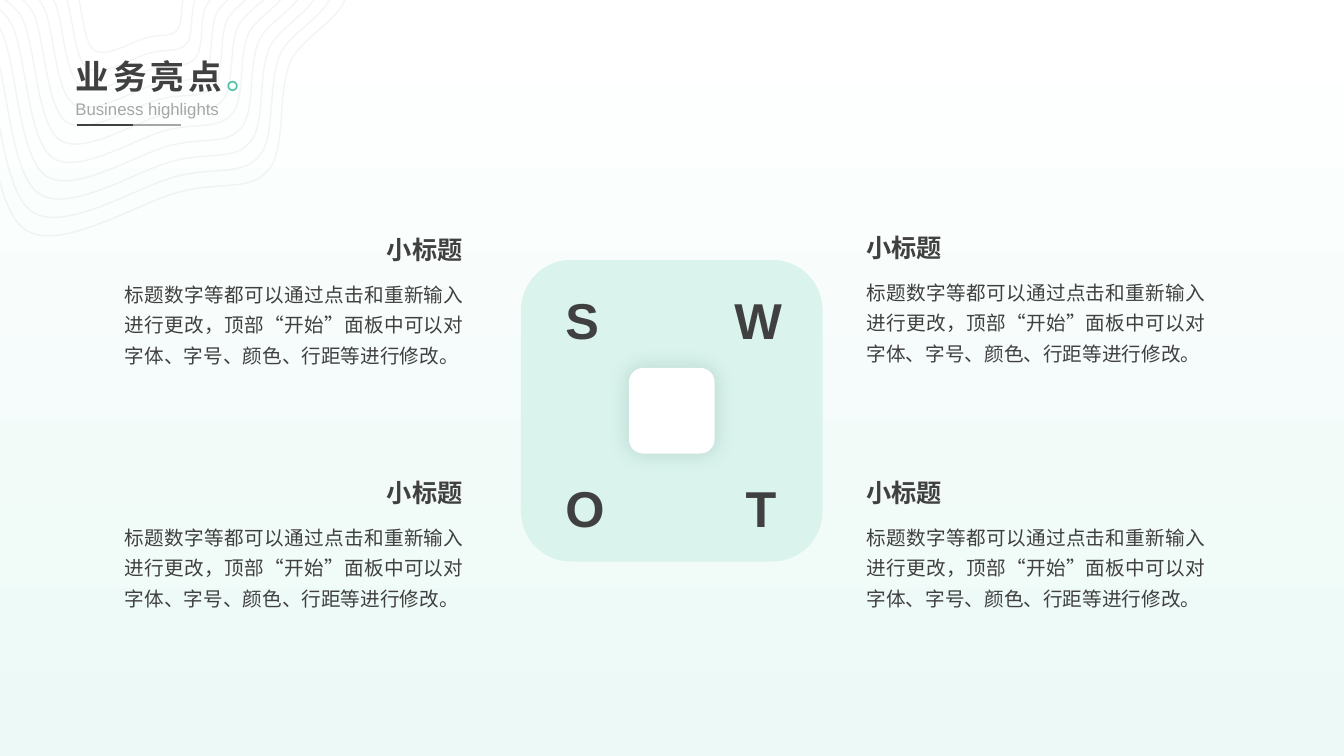
import dataclasses

import pptx
import pptx.dml.color
import pptx.enum.shapes
import pptx.enum.text
import pptx.oxml
import pptx.oxml.ns
import pptx.util
from pptx.util import Cm

HEADING = "小标题"
BODY = ("标题数字等都可以通过点击和重新输入进行更改，顶部“开始”面板中可以对"
        "字体、字号、颜色、行距等进行修改。")

# Outermost contour in cm: a start point, then three points per Bezier curve
CONTOUR = [
    (4.55, 4.83),
    (3.53, 5.08), (1.52, 6.38), (0.64, 5.79),
    (-0.23, 5.21), (-0.28, 2.31), (-0.74, 1.3),
    (-1.22, 0.28), (-2.08, 0.51), (-2.16, -0.36),
    (-2.26, -1.22), (-2.13, -3.05), (-1.27, -3.89),
    (-0.43, -4.75), (1.3, -5.99), (2.92, -5.49),
    (4.57, -4.98), (7.87, -2.08), (8.59, -0.89),
    (9.32, 0.3), (7.59, 0.76), (7.29, 1.63),
    (6.99, 2.49), (7.21, 3.78), (6.76, 4.29),
    (6.3, 4.83), (5.56, 4.57), (4.55, 4.83),
]
CONTOUR_CENTRE = (3.28, -1.06)
RINGS = 11
INNER_SCALE = 0.34


@dataclasses.dataclass(frozen=True)
class Theme:
    latin: str = "Arial"
    cjk: str = "Noto Sans CJK SC"
    ink: str = "404040"
    grey: str = "A6A6A6"
    accent: str = "44C1A3"
    contour: str = "1E5E70"
    panel: str = "DAF3ED"
    white: str = "FFFFFF"
    shadow: str = "206252"
    page_end: str = "ECF9F6"
    title: int = 24
    subtitle: int = 12
    letter: int = 36
    heading: int = 18
    body: int = 14


def rgb(value):
    return pptx.dml.color.RGBColor.from_string(value)


def xml(source):
    """Parse one DrawingML element whose tag uses the prefix a."""
    head, gap, tail = source.partition(" ")
    return pptx.oxml.parse_xml(f"{head} {pptx.oxml.ns.nsdecls('a')}{gap}{tail}")


def bend(sp):
    """Turn every three line segments of a freeform into one Bezier curve."""
    segments = list(sp._element.iter(pptx.oxml.ns.qn("a:lnTo")))
    for i in range(0, len(segments), 3):
        curve = xml("<a:cubicBezTo />")
        segments[i].addprevious(curve)
        for segment in segments[i:i + 3]:
            curve.append(segment[0])
            segment.getparent().remove(segment)


class SlideBuilder:
    def __init__(self, slide, theme):
        self.slide = slide
        self.theme = theme

    def background(self):
        fill = self.slide.background.fill
        fill.gradient()
        fill.gradient_angle = 270
        for stop, color in zip(fill.gradient_stops,
                               (self.theme.white, self.theme.page_end)):
            stop.color.rgb = rgb(color)

    def ring(self, points, alpha):
        (x, y), *rest = [(Cm(px), Cm(py)) for px, py in points]
        builder = self.slide.shapes.build_freeform(x, y)
        builder.add_line_segments(rest, close=True)
        sp = builder.convert_to_shape()
        bend(sp)
        sp.shadow.inherit = False
        sp.fill.background()
        sp.line.width = pptx.util.Pt(1)
        sp.line.color.rgb = rgb(self.theme.contour)
        color = sp._element.spPr.find(".//" + pptx.oxml.ns.qn("a:srgbClr"))
        color.append(xml(f'<a:alpha val="{alpha * 1000}"/>'))

    def rule(self, x1, x2, y, color):
        line = self.slide.shapes.add_connector(
            pptx.enum.shapes.MSO_CONNECTOR.STRAIGHT, Cm(x1), Cm(y), Cm(x2), Cm(y))
        line.line.width = pptx.util.Pt(1)
        line.line.color.rgb = rgb(color)
        line._element.spPr.append(xml("<a:effectLst />"))

    def rounded_square(self, cx, cy, side, color):
        sp = self.slide.shapes.add_shape(
            pptx.enum.shapes.MSO_SHAPE.ROUNDED_RECTANGLE,
            Cm(cx - side / 2), Cm(cy - side / 2), Cm(side), Cm(side))
        sp.shadow.inherit = False
        sp.fill.solid()
        sp.fill.fore_color.rgb = rgb(color)
        sp.line.fill.background()
        return sp

    def glow(self, sp, blur, alpha):
        """Give the shape a soft shadow that spreads evenly on all sides."""
        effects = sp._element.spPr.find(pptx.oxml.ns.qn("a:effectLst"))
        effects.append(xml(
            f'<a:outerShdw blurRad="{pptx.util.Pt(blur)}" dist="0" dir="0" '
            f'algn="ctr" rotWithShape="0"><a:srgbClr val="{self.theme.shadow}">'
            f'<a:alpha val="{alpha * 1000}"/></a:srgbClr></a:outerShdw>'))

    def text(self, box, text, size, color=None, bold=False, wrap=False):
        shape = self.slide.shapes.add_textbox(*map(Cm, box))
        tf = shape.text_frame
        tf.word_wrap = wrap
        tf.auto_size = pptx.enum.text.MSO_AUTO_SIZE.SHAPE_TO_FIT_TEXT
        p = tf.paragraphs[0]
        p.text = text
        self.format_run(p.runs[0], size, color or self.theme.ink, bold)
        return p

    def format_run(self, r, size, color, bold=False, latin=None):
        r.font.size = pptx.util.Pt(size)
        r.font.bold = bold
        r.font.name = latin or self.theme.latin
        r.font.color.rgb = rgb(color)
        r.font._element.find(pptx.oxml.ns.qn("a:latin")).addnext(
            xml(f'<a:ea typeface="{self.theme.cjk}"/>'))

    def title(self, text, mark, subtitle):
        t = self.theme
        p = self.text((1.65, 1.4, 5.33, 1.17), text, t.title, bold=True)
        p.line_spacing = 0.9
        p.space_before = pptx.util.Pt(10)
        r = p.add_run()
        r.text = mark
        self.format_run(r, t.title, t.accent, latin=t.cjk)
        for r in p.runs:
            r.font._element.set("spc", "300")
        p = self.text((1.65, 2.36, 4.17, 0.76), subtitle, t.subtitle, t.grey)
        p.space_before = pptx.util.Pt(10)

    def note(self, heading_x, body_x, y):
        self.text((heading_x, y, 2.44, 1.02), HEADING, self.theme.heading, bold=True)
        p = self.text((body_x, y + 1.03, 9.04, 2.51), BODY, self.theme.body, wrap=True)
        p.alignment = pptx.enum.text.PP_ALIGN.JUSTIFY
        p.line_spacing = 1.3


def main():
    prs = pptx.Presentation()
    prs.slide_width, prs.slide_height = Cm(33.87), Cm(19.05)
    theme = Theme()
    s = SlideBuilder(prs.slides.add_slide(prs.slide_layouts[6]), theme)
    s.background()

    for i in range(RINGS):
        scale = 1 - (1 - INNER_SCALE) * i / (RINGS - 1)
        s.ring([tuple(c + (v - c) * scale for v, c in zip(point, CONTOUR_CENTRE))
                for point in CONTOUR], alpha=5)

    s.rule(1.93, 4.57, 3.15, theme.grey)
    s.rule(1.93, 3.35, 3.15, theme.ink)
    s.title("业务亮点", "。", "Business highlights")

    s.rounded_square(16.93, 10.35, 7.6, theme.panel)
    tile = s.rounded_square(16.93, 10.35, 2.16, theme.white)
    s.glow(tile, blur=15, alpha=20)
    for letter, x, y, width in (("S", 14, 7.16, 1.37), ("W", 18.26, 7.16, 1.73),
                                ("O", 14, 11.91, 1.5), ("T", 18.54, 11.91, 1.3)):
        s.text((x, y, width, 1.8), letter, theme.letter, bold=True)

    for heading_x, body_x, tops in ((21.59, 21.59, (5.74, 11.91)),
                                    (9.5, 2.9, (5.79, 11.91))):
        for y in tops:
            s.note(heading_x, body_x, y)

    prs.save("out.pptx")


if __name__ == "__main__":
    main()
